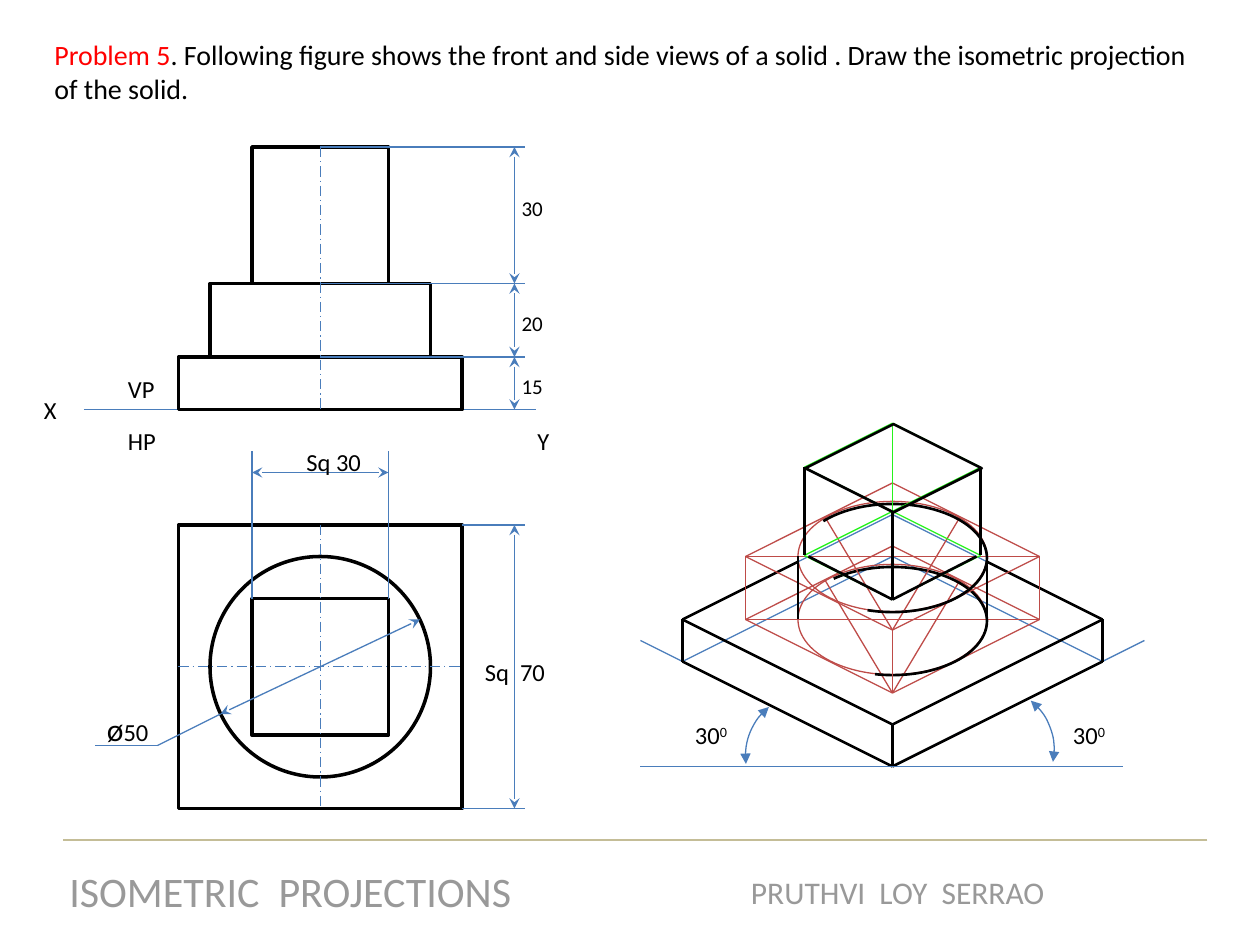
"""Draw the views of a stepped solid and its isometric projection on a 120 by 90 grid."""
from dataclasses import dataclass
from typing import NamedTuple

from lxml.etree import SubElement as Sub
from pptx import Presentation
from pptx.dml.color import RGBColor as Rgb
from pptx.enum.dml import MSO_LINE as Dash
from pptx.enum.shapes import MSO_CONNECTOR as Conn, MSO_SHAPE as Kind
from pptx.enum.text import PP_ALIGN as Align
from pptx.oxml.ns import qn
from pptx.util import Inches, Pt


@dataclass(frozen=True)
class Theme:
    font: str = "Calibri"
    black: str = "000000"
    white: str = "FFFFFF"
    red: str = "FF0000"
    blue: str = "4A7DBB"
    brick: str = "BE4B48"
    green: str = "26F21C"
    sand: str = "C4BD97"
    gray: str = "999999"
    thin: float = 0.75
    bold: float = 1.5
    thick: float = 2
    small: int = 12
    body: int = 14
    lead: int = 16
    large: int = 18
    huge: int = 24


class Spot(NamedTuple):
    x: float
    y: float


class Box(NamedTuple):
    x: float
    y: float
    w: float
    h: float


class Run(NamedTuple):
    text: str
    size: int
    color: str = "000000"
    raised: bool = False


class Rhomb(NamedTuple):
    top: Spot
    left: Spot
    front: Spot
    right: Spot


T = Theme()
MID = 85
COLS, ROWS = 120, 90

deck = Presentation()
deck.slide_width, deck.slide_height = Inches(10), Inches(7.5)
slide = deck.slides.add_slide(deck.slide_layouts[6])
shapes = slide.shapes


def grid(*vals: float) -> list[int]:
    """Turn grid units into slide lengths."""
    return [round(v * deck.slide_width / COLS) for v in vals]


def stroke(item, color: str, width: float, tips: str = "") -> None:
    """Set the line of a shape or connector, with arrow tips at both ends."""
    item.line.color.rgb = Rgb.from_string(color)
    item.line.width = Pt(width)
    if tips:
        for end in ("a:headEnd", "a:tailEnd"):
            Sub(item.line._get_or_add_ln(), qn(end), type=tips)


def line(a, b, color: str = T.blue, width: float = T.thin, tips: str = ""):
    """Draw a straight line between two grid spots."""
    item = shapes.add_connector(Conn.STRAIGHT, *grid(*a, *b))
    stroke(item, color, width, tips)
    Sub(item._element.spPr, qn("a:effectLst"))
    return item


def chain(*spots, color: str = T.black, width: float = T.bold) -> None:
    """Draw lines through a row of spots."""
    for a, b in zip(spots, spots[1:]):
        line(a, b, color, width)


def axis(first, side: int, last, end: int) -> None:
    """Join two sides with a dashed centre line."""
    item = line((0, 0), (1, 1))
    item.begin_connect(first, side)
    item.end_connect(last, end)
    item.line.dash_style = Dash.LONG_DASH_DOT


def shape(kind, box: Box, color: str = T.black, width: float = T.thick,
          fill: str = "", adj=(), turn: float = 0, tips: str = ""):
    """Draw an outlined shape with an optional fill."""
    item = shapes.add_shape(kind, *grid(*box))
    item.shadow.inherit = False
    if fill:
        item.fill.solid()
        item.fill.fore_color.rgb = Rgb.from_string(fill)
    else:
        item.fill.background()
    stroke(item, color, width, tips)
    for i, deg in enumerate(adj):
        item.adjustments[i] = deg * 0.6
    item.rotation = turn
    return item


def write(text: str, *, para, size: int, color: str, raised: bool) -> None:
    """Add a formatted run to a paragraph."""
    run = para.add_run()
    run.text = text
    run.font.name, run.font.size = T.font, Pt(size)
    run.font.color.rgb = Rgb.from_string(color)
    if raised:
        run.font._element.set("baseline", "30000")


def label(box: Box, *runs: Run, center: bool = False) -> None:
    """Place a text box made of runs."""
    frame = shapes.add_textbox(*grid(*box)).text_frame
    frame.word_wrap = not center
    para = frame.paragraphs[0]
    if center:
        para.alignment = Align.CENTER
    else:
        frame.margin_right = 0
    for run in runs:
        write(run.text, para=para, size=run.size, color=run.color, raised=run.raised)


def rhomb(y: float, half: float, rise: float) -> Rhomb:
    """Find the corners of an isometric square around the main axis."""
    return Rhomb(Spot(MID, y - rise), Spot(MID - half, y),
                 Spot(MID, y + rise), Spot(MID + half, y))


def base() -> None:
    """Draw the square slab and its hidden and guide lines."""
    top, low = rhomb(59, 20, 10), rhomb(63, 20, 10)
    shape(Kind.DIAMOND, Box(65, 49, 40, 20), T.blue, T.thin, T.white)
    chain(top.top, low.top, color=T.blue, width=T.thin)
    chain(low.left, low.top, low.right, color=T.blue, width=T.thin)
    chain((61, 61), low.front, (109, 61), color=T.blue, width=T.thin)
    chain((76, 53.5), top.left, top.front, top.right, (94, 53.5))
    chain(low.left, low.front, low.right)
    for a, b in zip(top[1:], low[1:]):
        line(a, b, T.black, T.bold)


def drum() -> None:
    """Draw the cylinder with its enclosing rhombi and arcs."""
    low, top = rhomb(59, 14, 7), rhomb(53, 14, 7)
    for face, arc in ((low, (215.8, 108.1)), (top, (208.1, 115.5))):
        y = face.left.y
        chain(*face, face.top, color=T.brick, width=T.thin)
        line(face.left, face.right, T.brick)
        for side in (-6.4, 6.4):
            line(face.front, (MID + side, y - 3.7), T.brick)
        shape(Kind.OVAL, Box(76, y - 5.25, 18, 10.5), T.brick, T.thin)
        shape(Kind.ARC, Box(76, y - 5, 18, 10.3), width=T.bold,
              adj=[a / 0.36 * 0.6 * 0.6 / 0.6 * 0.6 for a in arc])
    for a, b in zip(low, top):
        line(a, b, T.brick)
    for x in (76, 94):
        line((x, 59), (x, 53), T.black, T.bold)


def cube() -> None:
    """Draw the top cube over its green construction lines."""
    top, low = rhomb(44.5, 8.4, 4.2), rhomb(52.9, 8.4, 4.2)
    for face in (top, low):
        chain(*face, face.top, color=T.green, width=T.thin)
    line(top.top, low.top, T.green)
    shape(Kind.DIAMOND, Box(76.7, 40.4, 16.8, 8.4), width=T.bold)
    for a, b in zip(top[1:], low[1:]):
        line(a, b, T.black, T.bold)
    chain((77, 53), low.front, (93, 53))


def views() -> None:
    """Draw the front view, the plan and their dimensions."""
    line((8, 39), (51, 39))
    plan, _, _, slab, _, tower = [
        shape(kind, Box(*box), fill=T.white) for kind, box in (
            (Kind.RECTANGLE, (17, 50, 27, 27)), (Kind.OVAL, (20, 53, 21, 21)),
            (Kind.RECTANGLE, (24, 57, 13, 13)), (Kind.RECTANGLE, (17, 34, 27, 5)),
            (Kind.RECTANGLE, (20, 27, 21, 7)), (Kind.RECTANGLE, (24, 14, 13, 13)))]
    axis(plan, 1, plan, 3)
    axis(plan, 0, plan, 2)
    axis(tower, 0, slab, 2)
    for x, y in ((30.5, 14), (30.5, 27), (30.5, 34), (44, 50), (44, 77)):
        line((x, y), (50, y))
    for y, end in ((14, 27), (27, 34), (34, 39), (50, 77)):
        line((49, y), (49, end), tips="stealth")
    for x in (24, 37):
        line((x, 57), (x, 43))
    line((37, 45), (24, 45), tips="stealth")
    line((40, 59), (21, 68), tips="stealth")
    chain((21, 68), (15, 71), (9, 71), color=T.blue, width=T.thin)


def notes() -> None:
    """Place the title, labels, angle marks and footer."""
    label(Box(4, 3, 111, 7.7), Run("Problem 5", T.lead, T.red),
          Run(". Following figure shows the front and side views of a solid . "
              "Draw the isometric projection of the solid.", T.lead))
    for text, x, y, w, size in (
            ("X", 3, 37, 4, T.body), ("Y", 50, 40, 4, T.body),
            ("VP", 11, 35, 5, T.body), ("HP", 11, 40, 5, T.body),
            ("30", 48.5, 18, 5, T.small), ("20", 48.5, 29, 5, T.small),
            ("15", 48.5, 35, 5, T.small), ("Sq 30", 28, 42, 8, T.body),
            ("Sq  70", 45, 62, 12, T.body)):
        label(Box(x, y, w, 4), Run(text, size))
    label(Box(9, 67, 6.5, 4.8), Run("ø", T.large), Run("50", T.body))
    line((61, 73), (107, 73))
    for x, y, adj, turn in ((88.4, 65.4, (270, 332.2), 39), (71, 66, (262.8, 321.1), 270)):
        shape(Kind.ARC, Box(x, y, 12, 12), T.blue, T.thin, adj=adj, turn=turn, tips="triangle")
    for x in (65, 101):
        label(Box(x, 68, 5.6, 4), Run("30", T.body), Run("0", T.body, raised=True))
    line((115, 80), (6, 80), T.sand)
    label(Box(5.2, 81.8, 44.9, 6), Run("ISOMETRIC  PROJECTIONS", T.huge, T.gray), center=True)
    label(Box(70.2, 82.6, 30.6, 4.8), Run("PRUTHVI  LOY  SERRAO", T.large, T.gray), center=True)


if __name__ == "__main__":
    for draw in (base, drum, cube, views, notes):
        draw()
    deck.save("out.pptx")
